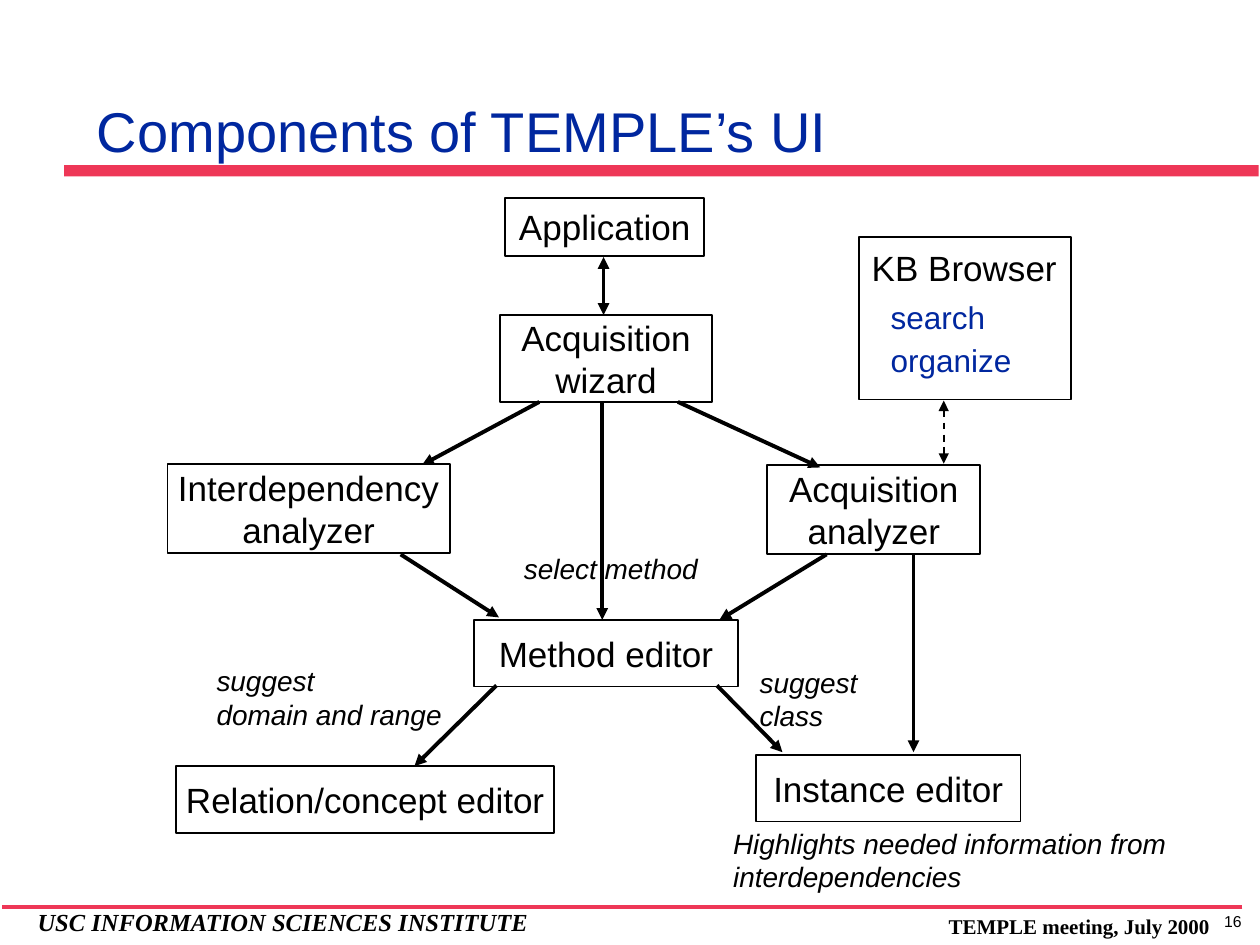
from lxml import etree
from pptx import Presentation
from pptx.dml.color import RGBColor
from pptx.enum.dml import MSO_LINE
from pptx.enum.shapes import MSO_CONNECTOR, MSO_SHAPE
from pptx.enum.text import MSO_ANCHOR, PP_ALIGN
from pptx.oxml.ns import qn
from pptx.util import Inches, Pt

BLACK = RGBColor(0x00, 0x00, 0x00)
BLUE = RGBColor(0x00, 0x27, 0x9F)
RED = RGBColor(0xEE, 0x37, 0x57)
RECTANGLE = MSO_SHAPE.RECTANGLE
STRAIGHT = MSO_CONNECTOR.STRAIGHT
DASH = MSO_LINE.DASH
LEFT, CENTER = PP_ALIGN.LEFT, PP_ALIGN.CENTER
TOP, MIDDLE, BOTTOM = MSO_ANCHOR.TOP, MSO_ANCHOR.MIDDLE, MSO_ANCHOR.BOTTOM
SANS, SERIF = "Arial", "Times New Roman"

WIDTH, HEIGHT = Inches(10), Inches(7.5)
COLUMNS, ROWS = 100, 75

# Column, row, columns wide, rows high, text
COMPONENTS = [
    (40.1, 15.7, 15.8, 4.6, "Application"),
    (39.7, 25, 16.8, 6.9, "Acquisition\nwizard"),
    (60.9, 36.9, 16.9, 7.1, "Acquisition\nanalyzer"),
    (13.3, 36.8, 22.4, 7.1, "Interdependency\nanalyzer"),
    (37.6, 49.2, 21, 5.3, "Method editor"),
    (14, 60.8, 30, 5.3, "Relation/concept editor"),
    (60, 59.9, 21, 5.3, "Instance editor"),
]

# Start column and row, end column and row
ARROWS = [
    (42.8, 31.9, 33.5, 36.9),
    (53.8, 31.9, 65.1, 37.1),
    (47.8, 31.9, 47.8, 49.2),
    (31.8, 44, 39.6, 49),
    (65.6, 44, 57.1, 49.2),
    (72.5, 44, 72.5, 59.7),
    (56.9, 54.4, 62.1, 59.7),
    (39.4, 54.4, 32.9, 60.8),
]

# Column, row, columns wide, rows high, text, wrap
NOTES = [
    (40.6, 43.3, 15.8, 3.7, "select method", False),
    (59.3, 52.3, 9.8, 6.4, "suggest\nclass", True),
    (16.2, 52.2, 21.2, 6.4, "suggest\ndomain and range", True),
    (57.2, 65.1, 37.1, 6.4,
     "Highlights needed information from interdependencies", True),
]


def grid(column, row):
    return round(WIDTH * column / COLUMNS), round(HEIGHT * row / ROWS)


def write(shape, text, size=20, font=SANS, color=BLACK, bold=False,
          italic=False, align=LEFT, anchor=TOP, wrap=False):
    """Fill a shape with text, one paragraph per line."""
    frame = shape.text_frame
    frame.text = text
    frame.word_wrap = wrap
    frame.vertical_anchor = anchor
    for para in frame.paragraphs:
        para.alignment = align
        para.font.size = Pt(size)
        para.font.name = font
        para.font.color.rgb = color
        para.font.bold = bold
        para.font.italic = italic


def add_text(page, column, row, columns, rows, text, **style):
    box = page.shapes.add_textbox(*grid(column, row), *grid(columns, rows))
    write(box, text, **style)


def add_rectangle(page, column, row, columns, rows, fill=None):
    """Add a solid bar, or an outlined box when no fill is given."""
    box = page.shapes.add_shape(RECTANGLE, *grid(column, row),
                                *grid(columns, rows))
    box.shadow.inherit = False
    if fill is None:
        box.fill.background()
        box.line.color.rgb = BLACK
        box.line.width = Pt(1)
    else:
        box.fill.solid()
        box.fill.fore_color.rgb = fill
        box.line.fill.background()
    return box


def add_line(page, start, end, color=BLACK, width=2.25, dash=None, ends=()):
    """Draw a line; ends names the arrowheads, headEnd before tailEnd."""
    line = page.shapes.add_connector(STRAIGHT, *grid(*start), *grid(*end))
    line.line.color.rgb = color
    line.line.width = Pt(width)
    if dash is not None:
        line.line.dash_style = dash
    properties = line._element.spPr
    for end_name in ends:
        etree.SubElement(properties.find(qn("a:ln")), qn(f"a:{end_name}"),
                         type="triangle")
    etree.SubElement(properties, qn("a:effectLst"))


def add_frame(page):
    """Add the title, the two rules and the footer."""
    add_rectangle(page, 5.1, 13.1, 94.8, 0.9, fill=RED)
    add_text(page, 94, 71.9, 7.7, 2.5, "16", size=9, align=CENTER)
    add_line(page, (98.6, 72), (0.2, 72), color=RED, width=2)
    add_text(page, 2, 71.5, 43.6, 3.3, "USC INFORMATION SCIENCES INSTITUTE",
             size=14, font=SERIF, bold=True, italic=True, wrap=True)
    add_text(page, 74.3, 72, 22.8, 3, "TEMPLE meeting, July 2000",
             size=12, font=SERIF, bold=True, wrap=True)
    add_text(page, 6.7, 0.9, 84.8, 12.6, "Components of TEMPLE’s UI",
             size=32, color=BLUE, anchor=BOTTOM, wrap=True)


def add_browser(page):
    add_rectangle(page, 68.2, 18.8, 16.8, 12.9)
    add_text(page, 68.2, 19.1, 16.7, 4.4, "KB Browser")
    add_text(page, 69.7, 23.2, 9.5, 4, "search", size=18, color=BLUE)
    add_text(page, 69.7, 26.6, 11.6, 4, "organize", size=18, color=BLUE)


def main():
    deck = Presentation()
    deck.slide_width, deck.slide_height = WIDTH, HEIGHT
    page = deck.slides.add_slide(deck.slide_layouts[6])

    add_frame(page)
    for *place, text in COMPONENTS:
        write(add_rectangle(page, *place), text, align=CENTER, anchor=MIDDLE)
    both_ends = ("headEnd", "tailEnd")
    add_line(page, (47.9, 20.4), (47.9, 25), ends=both_ends)
    for *start, end_column, end_row in ARROWS:
        add_line(page, start, (end_column, end_row), ends=("tailEnd",))
    add_browser(page)
    for *place, text, wrap in NOTES:
        add_text(page, *place, text, size=16, italic=True, wrap=wrap)
    add_line(page, (74.9, 31.8), (74.9, 36.8), width=1, dash=DASH,
             ends=both_ends)

    deck.save("out.pptx")


if __name__ == "__main__":
    main()
